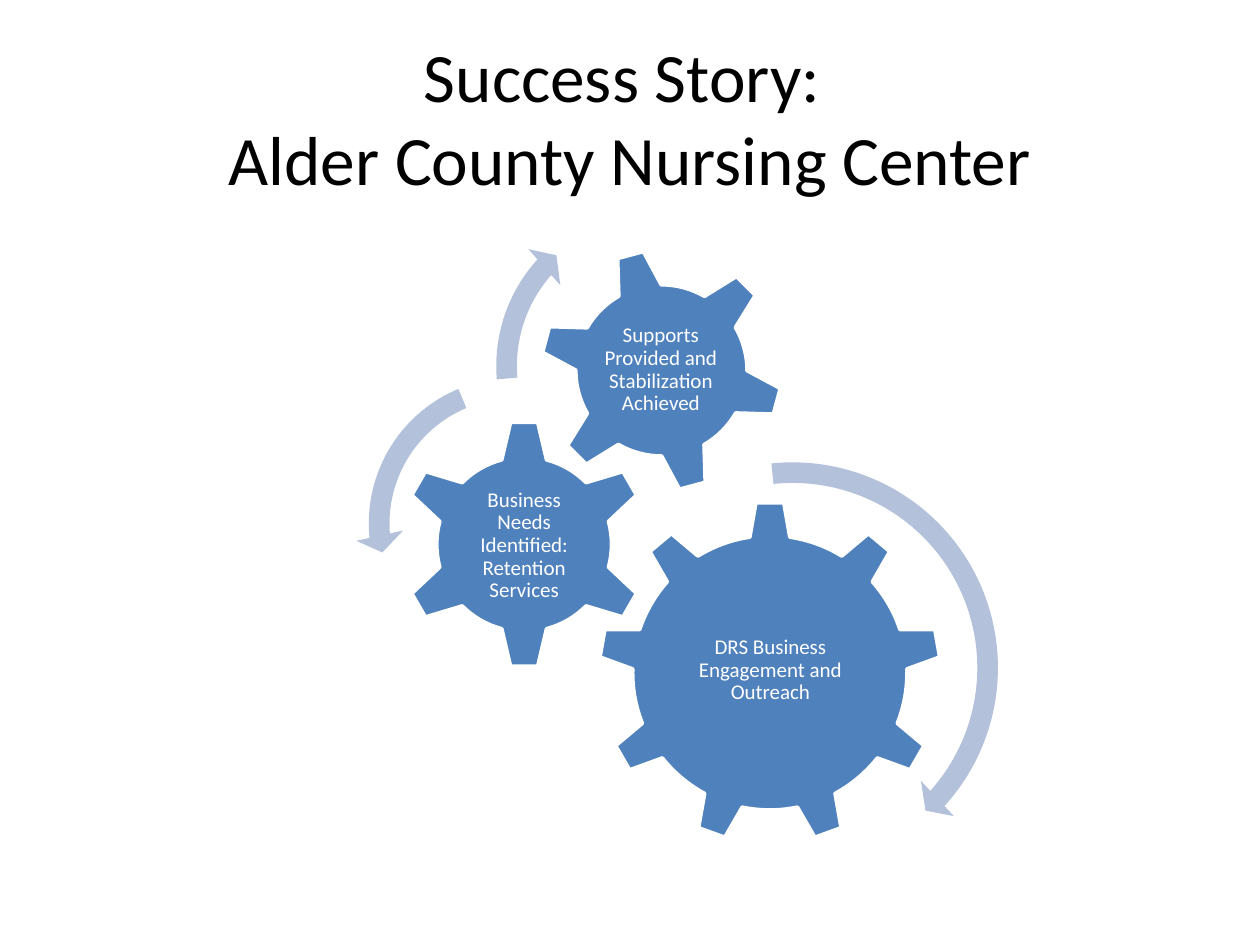
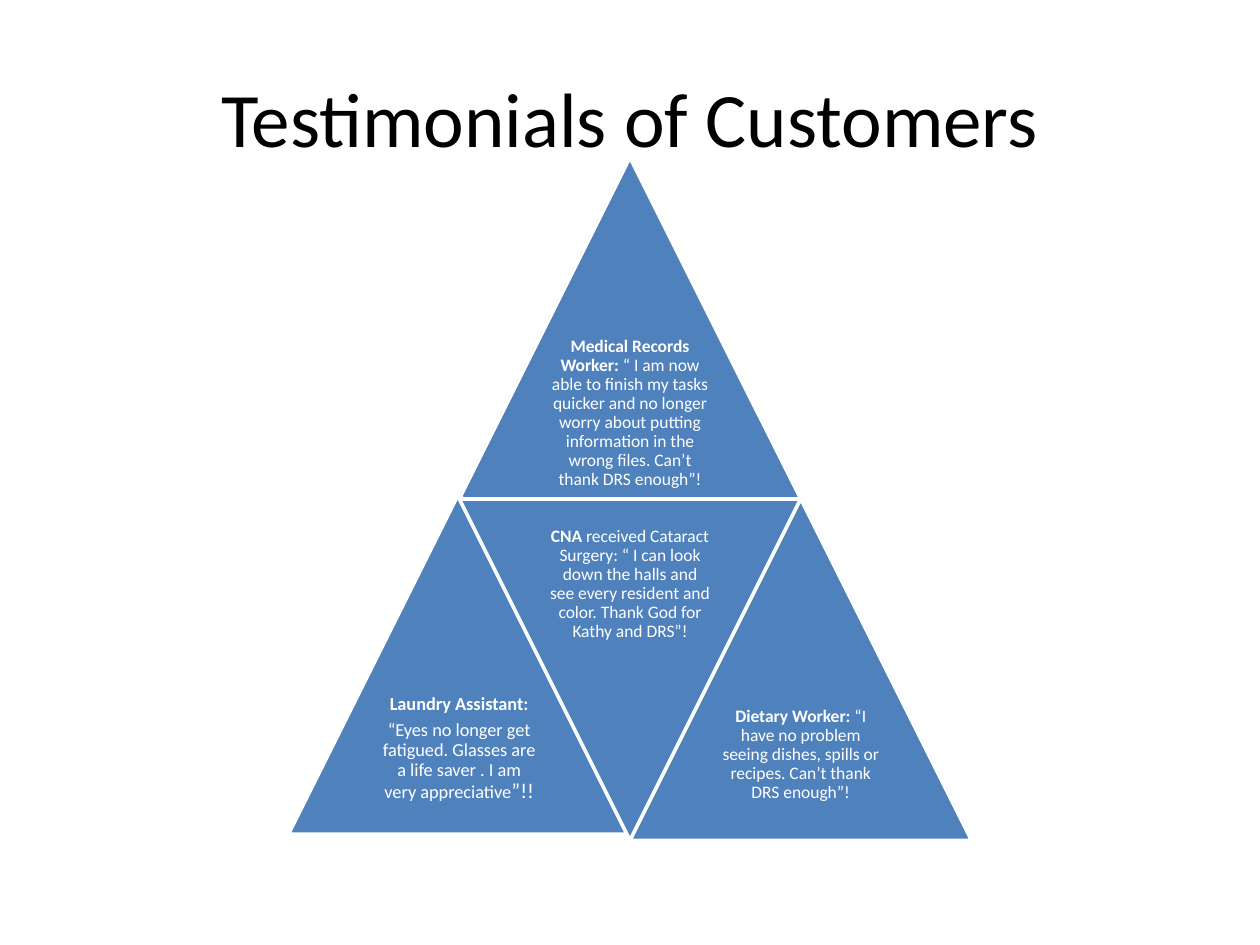
from pptx import Presentation
from pptx.dml.color import RGBColor
from pptx.enum.shapes import MSO_SHAPE
from pptx.enum.text import MSO_ANCHOR, PP_ALIGN
from pptx.util import Inches, Pt

COLORS = {"title": "000000", "body": "4F81BD", "edge": "FFFFFF",
          "label": "FFFFFF", "motion": "B3C1DB"}
FONT = "Calibri"


class Deck:
    """Holds the shared style and the slide being drawn."""

    def __init__(self):
        self.presentation = Presentation()
        self.presentation.slide_width = Inches(10)
        self.presentation.slide_height = Inches(7.5)
        self.slide = None

    def add_slide(self, title, size):
        blank = self.presentation.slide_layouts[6]
        self.slide = self.presentation.slides.add_slide(blank)
        frame = self.text_frame(0.5, 0.3, 9, 1.25)
        frame.text = title
        paragraph = frame.paragraphs[0]
        paragraph.alignment = PP_ALIGN.CENTER
        for run in paragraph.runs:
            self.style(run, size, "title")

    def style(self, run, size, color, bold=False):
        run.font.name = FONT
        run.font.size = Pt(size)
        run.font.bold = bold
        run.font.color.rgb = RGBColor.from_string(COLORS[color])

    def text_frame(self, left, top, width, height):
        box = self.slide.shapes.add_textbox(
            Inches(left), Inches(top), Inches(width), Inches(height))
        frame = box.text_frame
        frame.word_wrap = True
        frame.vertical_anchor = MSO_ANCHOR.MIDDLE
        return frame

    def shape(self, kind, left, top, side, fill, edge=None, rotation=0):
        shape = self.slide.shapes.add_shape(
            kind, Inches(left), Inches(top), Inches(side), Inches(side))
        shape.shadow.inherit = False
        shape.rotation = rotation
        shape.fill.solid()
        shape.fill.fore_color.rgb = RGBColor.from_string(COLORS[fill])
        if edge:
            shape.line.color.rgb = RGBColor.from_string(COLORS[edge])
            shape.line.width = Pt(2)
        else:
            shape.line.fill.background()
        return shape

    def label(self, left, top, width, height, paragraphs, inset):
        """Each paragraph is a list of (text, size, bold) runs."""
        frame = self.text_frame(left, top, width, height)
        frame.margin_left = frame.margin_right = Inches(inset)
        frame.margin_top = frame.margin_bottom = Inches(inset)
        for index, runs in enumerate(paragraphs):
            paragraph = frame.add_paragraph() if index else frame.paragraphs[0]
            paragraph.alignment = PP_ALIGN.CENTER
            paragraph.line_spacing = 0.9
            paragraph.space_after = Pt(round(0.35 * runs[0][1], 1))
            for text, size, bold in runs:
                run = paragraph.add_run()
                run.text = text
                self.style(run, size, "label", bold)

    def gear(self, kind, left, top, side, text, text_area, rotation=0):
        self.shape(kind, left, top, side, "body", "edge", rotation)
        self.label(*text_area, [[(text, 12, False)]], 0.02)

    def motion_arrow(self, kind, left, top, side, adjustments):
        arrow = self.shape(kind, left, top, side, "motion")
        for index, value in enumerate(adjustments):
            arrow.adjustments[index] = value

    def triangle(self, center, top, side, paragraphs, inverted=False, inset=0.04):
        """The label fills the square inscribed against the triangle's base."""
        self.shape(MSO_SHAPE.ISOSCELES_TRIANGLE, center - side / 2, top, side,
                   "body", "edge", 180 if inverted else 0)
        label_top = top if inverted else top + side / 2
        self.label(center - side / 4, label_top, side / 2, side / 2,
                   paragraphs, inset)


def build_success_story(deck):
    deck.add_slide("Success Story: \vAlder County Nursing Center", 39.6)
    deck.gear(MSO_SHAPE.GEAR_9, 4.75, 3.98, 2.72,
              "DRS Business Engagement and Outreach", (5.3, 4.62, 1.63, 1.4))
    deck.gear(MSO_SHAPE.GEAR_6, 3.17, 3.33, 1.98,
              "Business Needs Identified: Retention Services",
              (3.67, 3.84, 0.98, 0.98))
    deck.gear(MSO_SHAPE.GEAR_6, 4.28, 1.97, 1.94,
              "Supports Provided and Stabilization Achieved",
              (4.7, 2.39, 1.09, 1.09), rotation=345)
    # Adjustments: band thickness, head angle, end angle, start angle, head width
    deck.motion_arrow(MSO_SHAPE.CIRCULAR_ARROW, 4.55, 3.56, 3.48,
                      (0.047, 2.99, 25.236, 158.454, 0.055))
    deck.motion_arrow(MSO_SHAPE.LEFT_CIRCULAR_ARROW, 2.82, 2.89, 2.53,
                      (0.065, 4.3, 104.891, 148.378, 0.075))
    deck.motion_arrow(MSO_SHAPE.CIRCULAR_ARROW, 3.83, 1.54, 2.73,
                      (0.06, 3.941, 133.138, 105.082, 0.07))


def build_testimonials(deck):
    deck.add_slide("Testimonials of Customers", 44)
    center, apex, side = 5, 1.25, 2.71
    lower_row = apex + side
    medical_records = [[
        ("Medical Records Worker: ", 10, True),
        ("“ I am now able to finish my tasks quicker and no longer worry about "
         "putting information in the wrong files. Can’t thank DRS enough”!",
         10, False)]]
    laundry = [
        [("Laundry Assistant:", 10.5, True)],
        [("“Eyes no longer get fatigued. Glasses are a life saver . "
          "I am very appreciative", 10.5, False), ("”!!", 12, False)]]
    nursing = [[
        ("CNA", 10, True),
        (" received Cataract Surgery: “ I can look down the halls and see every "
         "resident and color. Thank God for Kathy and DRS”!", 10, False)]]
    dietary = [[
        ("Dietary Worker: ", 10, True),
        ("“I have no problem seeing dishes, spills or recipes. "
         "Can’t thank DRS enough”!", 10, False)]]
    deck.triangle(center, apex, side, medical_records)
    deck.triangle(center - side / 2, lower_row - 0.05, side, laundry, inset=0.05)
    deck.triangle(center, lower_row, side, nursing, inverted=True)
    deck.triangle(center + side / 2, lower_row, side, dietary)


def main():
    deck = Deck()
    build_success_story(deck)
    build_testimonials(deck)
    deck.presentation.save("out.pptx")


if __name__ == "__main__":
    main()
